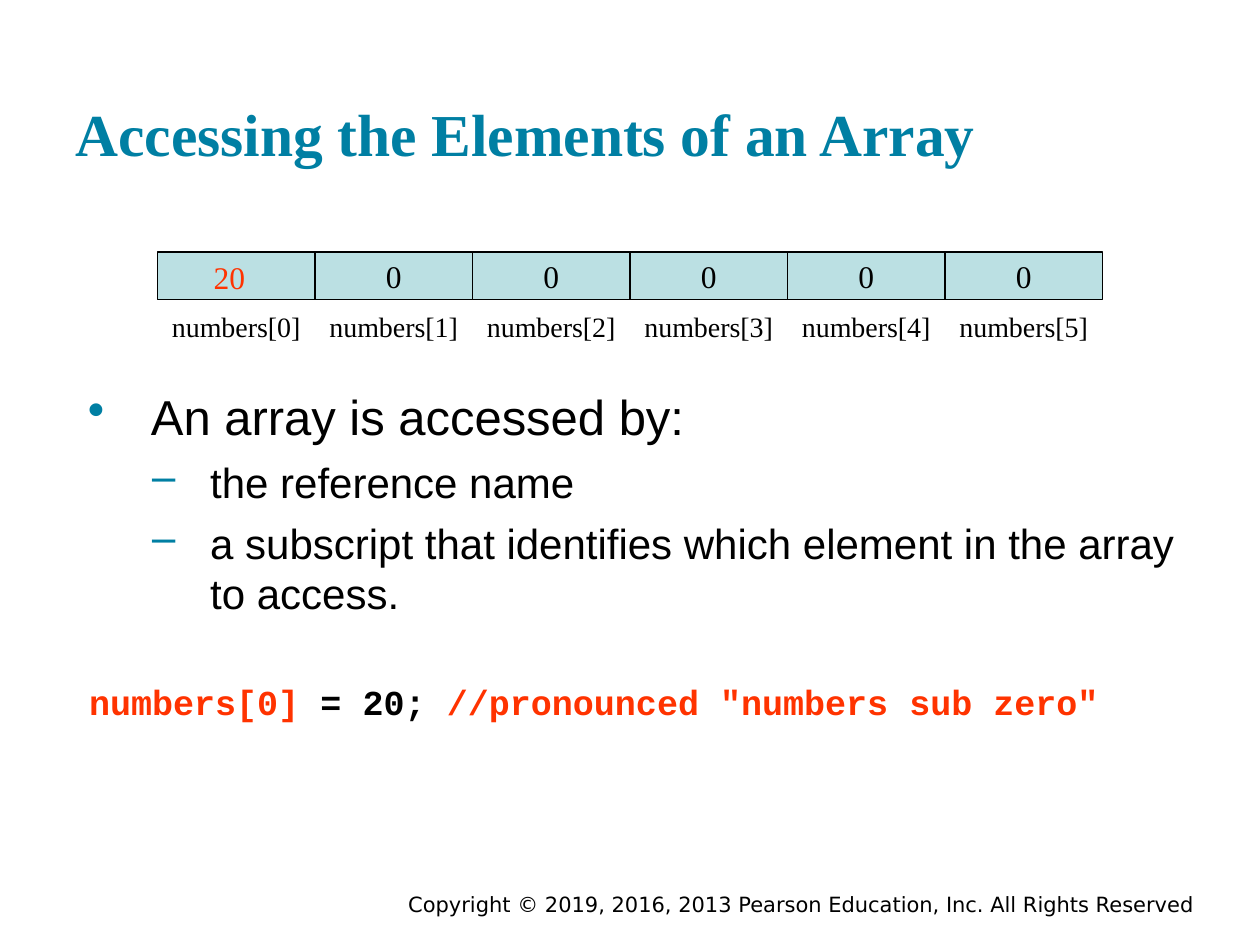
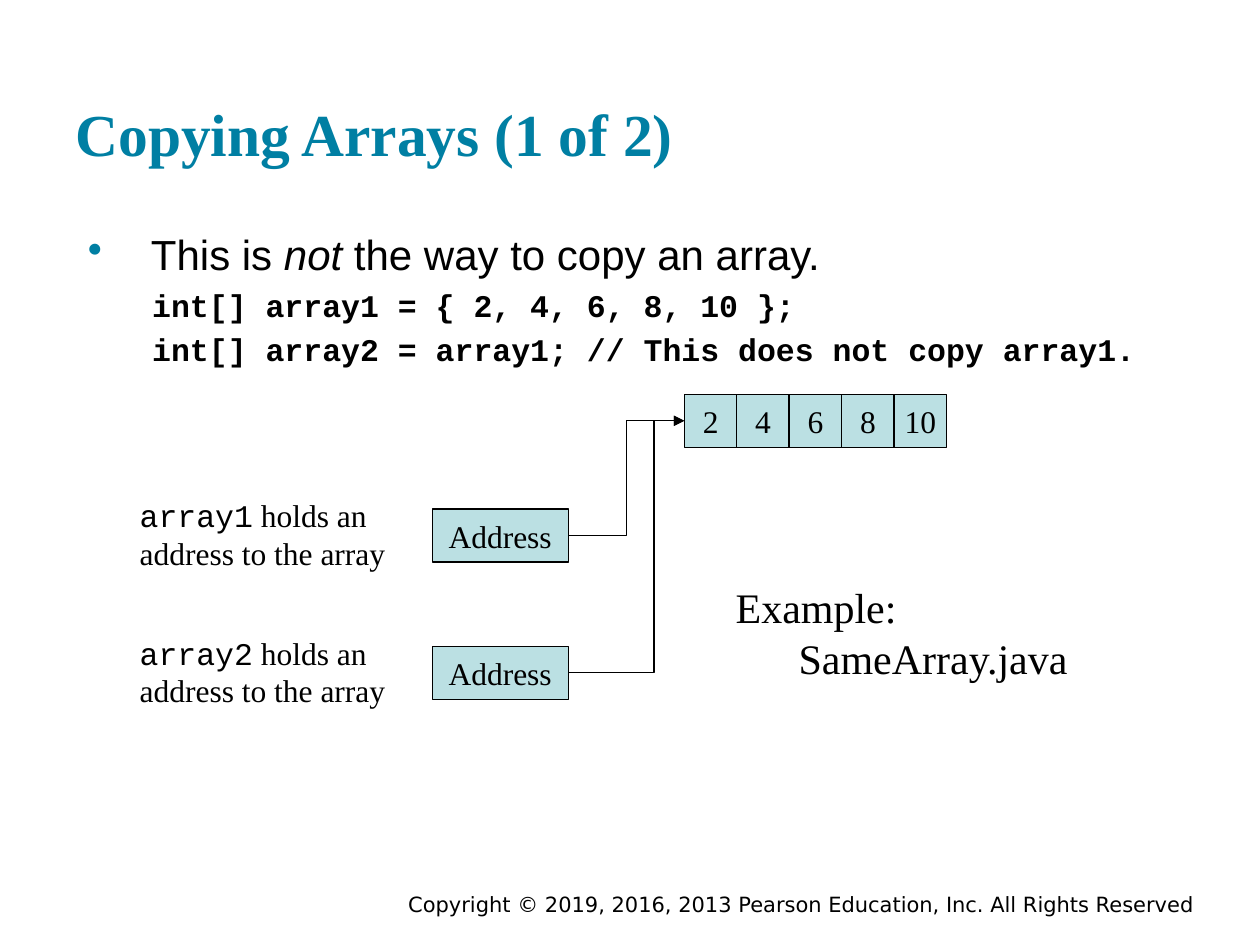
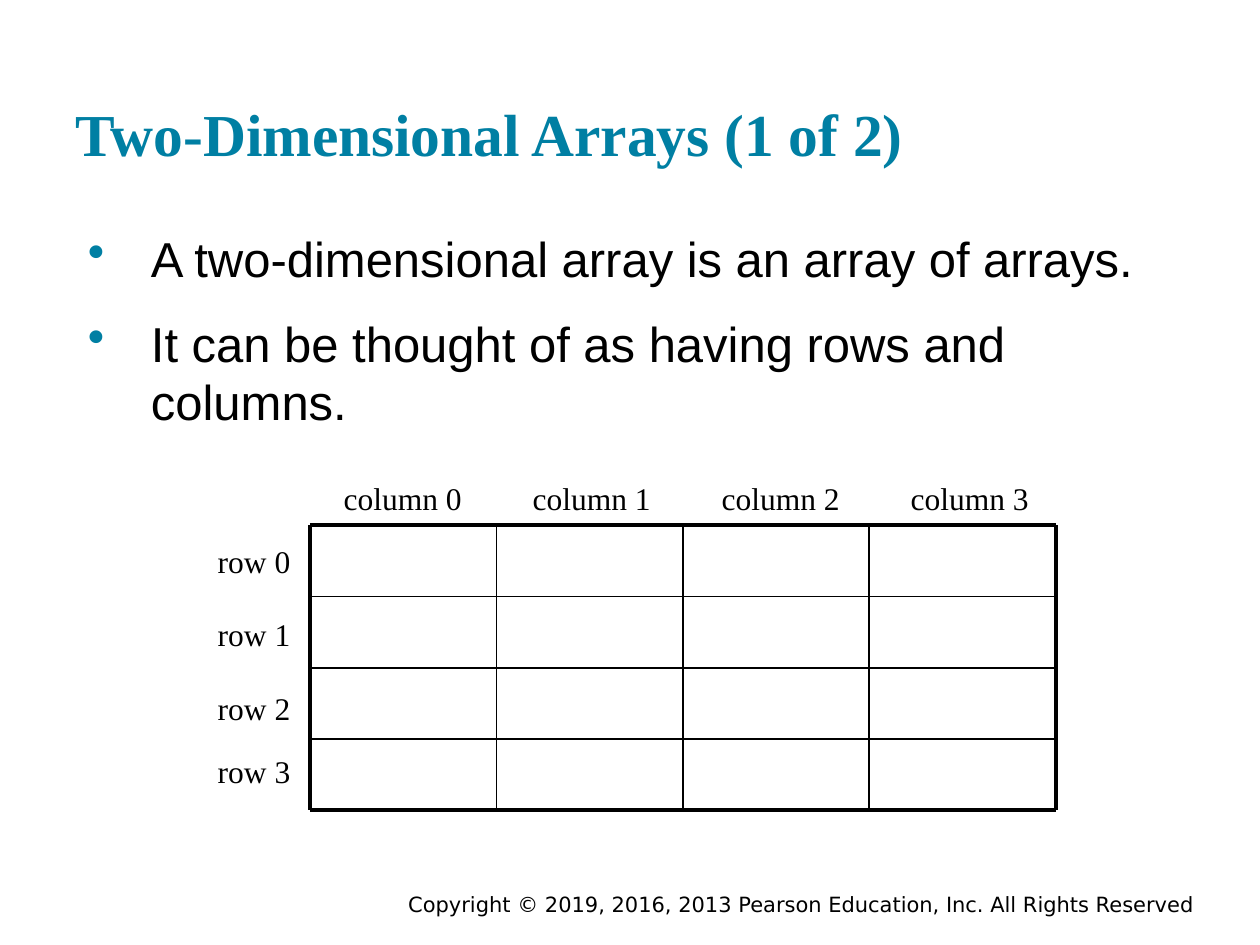
from lxml.etree import SubElement
from pptx import Presentation
from pptx.dml.color import RGBColor
from pptx.enum.shapes import MSO_CONNECTOR, MSO_SHAPE
from pptx.enum.text import MSO_ANCHOR, MSO_AUTO_SIZE, PP_ALIGN
from pptx.oxml.ns import qn
from pptx.util import Inches, Pt

COLORS = {"ink": "000000", "teal": "007FA3", "cell": "BBE0E3", "red": "FF3300"}
SERIF, SANS, MONO, PLAIN = "Times New Roman", "Arial", "Courier New", "DejaVu Sans"
FOOTER = "Copyright © 2019, 2016, 2013 Pearson Education, Inc. All Rights Reserved"

# Paragraph kinds: left margin, first-line indent, space before, bullet, level
KINDS = {
    "plain": (0, 0, 0, None, 0),
    "point": (0.6, -0.5, 15, "•", 0),
    "dash": (1.07, -0.46, 6, "–", 1),
    "code": (0.81, -0.2, 6, None, 1),
    "hang": (0.5, -0.5, 0, None, 0),
}

# A paragraph is (kind, runs); a run is (text, changes to the box's font)
ACCESS = {
    "title": "Accessing the Elements of an Array",
    "body": [
        ("point", [("An array is accessed by:", {"size": 28})]),
        ("dash", [("the reference name", {})]),
        ("dash", [("a subscript that identifies which element in the array to access.", {})]),
    ],
    "code": [("plain", [
        ("numbers[0]", {"color": "red"}),
        (" = 20; ", {}),
        ('//pronounced "numbers sub zero"', {"color": "red"}),
    ])],
    "cells": ["", "0", "0", "0", "0", "0"],
    "first": "20",
}
MONO_BOLD = {"size": 18, "font": MONO, "bold": True}
COPY = {
    "title": "Copying Arrays (1 of 2)",
    "body": [
        ("point", [("This is ", {}), ("not", {"italic": True}),
                   (" the way to copy an array.", {})]),
        ("code", [("int[] array1 = { 2, 4, 6, 8, 10 };", MONO_BOLD)]),
        ("code", [("int[] array2 = array1; // This does not copy array1.", MONO_BOLD)]),
    ],
    "cells": ["2", "4", "6", "8", "10"],
    "refs": [("array1", 4.04, 0.5), ("array2", 5.13, 0.74)],  # name, top, bend
    "example": "Example:\nSameArray.java",
}
GRID = {
    "title": "Two-Dimensional Arrays (1 of 2)",
    "body": [
        ("point", [("A two-dimensional array is an array of arrays.", {})]),
        ("point", [("It can be thought of as having rows and columns.", {})]),
    ],
    "size": 4,
    "rows": [4.25, 4.83, 5.42, 5.92],
}


def rgb(name):
    return RGBColor.from_string(COLORS[name])


def style(font, font_name, size, color="ink", bold=False, italic=False):
    font.name, font.size = font_name, Pt(size)
    font.bold, font.italic = bold, italic
    font.color.rgb = rgb(color)


def shape_para(para, kind, spacing):
    """Set indents, bullet and spacing of one paragraph."""
    left, first, before, mark, level = KINDS[kind]
    props = para._p.get_or_add_pPr()
    props.set("marL", str(Inches(left)))
    props.set("indent", str(Inches(first)))
    if mark:
        tint = SubElement(props, qn("a:buClr"))
        SubElement(tint, qn("a:srgbClr"), val=COLORS["teal"])
        SubElement(props, qn("a:buChar"), char=mark)
    else:
        SubElement(props, qn("a:buNone"))
    para.level = level
    para.space_before = Pt(before)
    if spacing:
        para.line_spacing = spacing


def write(frame, paras, align=PP_ALIGN.LEFT, spacing=None, **base):
    base = {"font": SERIF, "size": 18, **base}
    for i, (kind, runs) in enumerate(paras):
        para = frame.add_paragraph() if i else frame.paragraphs[0]
        shape_para(para, kind, spacing)
        if not i:
            para.space_before = Pt(0)
        para.alignment = align
        first = {**base, **runs[0][1]}
        para.font.name, para.font.size = first["font"], Pt(first["size"])
        for text, changes in runs:
            look = {**base, **changes}
            face = look.pop("font")
            for j, line in enumerate(text.split("\n")):
                if j:
                    para.add_line_break()
                run = para.add_run()
                run.text = line
                style(run.font, face, **look)


def plain(text):
    return [("plain", [(text, {})])]


def add_text(slide, box, paras, wrap=False, pad=0.05, **look):
    frame = slide.shapes.add_textbox(*map(Inches, box)).text_frame
    frame.word_wrap = wrap
    if not wrap:
        frame.auto_size = MSO_AUTO_SIZE.SHAPE_TO_FIT_TEXT
    frame.margin_top = frame.margin_bottom = Inches(pad)
    write(frame, paras, **look)


def add_body(slide, top, height, paras, **look):
    add_text(slide, (0.5, top, 9, height), paras, wrap=True, pad=0.1, font=SANS, **look)


def add_cell(slide, box, text):
    cell = slide.shapes.add_shape(MSO_SHAPE.RECTANGLE, *map(Inches, box))
    cell.shadow.inherit = False
    cell.fill.solid()
    cell.fill.fore_color.rgb = rgb("cell")
    cell.line.color.rgb = rgb("ink")
    cell.line.width = Pt(0.75)
    if text:
        frame = cell.text_frame
        frame.word_wrap = False
        frame.vertical_anchor = MSO_ANCHOR.MIDDLE
        write(frame, plain(text), align=PP_ALIGN.CENTER)
    return cell


def add_line(slide, ends, width, kind=MSO_CONNECTOR.STRAIGHT):
    line = slide.shapes.add_connector(kind, *map(Inches, ends))
    line.line.color.rgb = rgb("ink")
    line.line.width = Pt(width)
    SubElement(line._element.spPr, qn("a:effectLst"))
    return line


def add_link(slide, start, end, bend):
    """Draw a bent arrow from the right of start to the left of end."""
    link = add_line(slide, (0, 0, 1, 1), 0.75, MSO_CONNECTOR.ELBOW)
    link.begin_connect(start, 3)
    link.end_connect(end, 1)
    props = link._element.spPr
    SubElement(props.find(qn("a:ln")), qn("a:tailEnd"), type="triangle")
    geom = props.find(qn("a:prstGeom"))
    guides = geom.find(qn("a:avLst"))
    if guides is None:
        guides = SubElement(geom, qn("a:avLst"))
    SubElement(guides, qn("a:gd"), name="adj1", fmla=f"val {round(bend * 100000)}")


def add_slide(deck, title):
    slide = deck.slides.add_slide(deck.slide_layouts[5])
    head = slide.shapes.title
    head.left, head.top, head.width, head.height = map(Inches, (0.5, 0.24, 9, 1.2))
    frame = head.text_frame
    frame.auto_size = MSO_AUTO_SIZE.NONE
    frame.vertical_anchor = MSO_ANCHOR.BOTTOM
    frame.margin_top = frame.margin_bottom = Inches(0.1)
    write(frame, plain(title), size=34, color="teal", bold=True)
    add_text(slide, (1.75, 7.03, 7.83, 0.22), plain(FOOTER), wrap=True,
             align=PP_ALIGN.RIGHT, font=PLAIN, size=12)
    return slide


def access_slide(deck):
    slide = add_slide(deck, ACCESS["title"])
    add_body(slide, 2.97, 2.2, ACCESS["body"], size=24)
    add_text(slide, (0.59, 5.35, 8.25, 0.44), ACCESS["code"],
             align=PP_ALIGN.CENTER, font=MONO, size=20, bold=True)
    step = 1.25
    for i, value in enumerate(ACCESS["cells"]):
        left = 1.25 + i * step
        add_cell(slide, (left, 2, step, 0.38), value)
        add_text(slide, (left, 2.41, step, 0.37), plain(f"numbers[{i}]"),
                 wrap=True, align=PP_ALIGN.CENTER, size=16)
    add_text(slide, (1.58, 2, 0.48, 0.4), plain(ACCESS["first"]),
             wrap=True, align=PP_ALIGN.CENTER, color="red")


def copy_slide(deck):
    slide = add_slide(deck, COPY["title"])
    add_body(slide, 1.76, 1.3, COPY["body"], size=24, spacing=0.9)
    side = 0.42
    cells = [add_cell(slide, (5.43 + i * 0.416, 3.13, side, side), value)
             for i, value in enumerate(COPY["cells"])]
    for name, top, bend in COPY["refs"]:
        ref = add_cell(slide, (3.43, top, 1.08, side), "Address")
        note = [("plain", [(name, {"font": MONO}), (" holds an", {})])]
        add_text(slide, (1.01, top - 0.15, 2.15, 0.7), note + plain("address to the array"))
        add_link(slide, ref, cells[0], bend)
    add_text(slide, (5.74, 4.57, 2.85, 0.9), [("hang", [(COPY["example"], {})])], size=24)


def grid_slide(deck):
    slide = add_slide(deck, GRID["title"])
    add_body(slide, 1.71, 1.9, GRID["body"], size=28)
    size, left, top, wide, high = GRID["size"], 2.46, 4.17, 1.48, 0.565
    right, bottom = left + size * wide, top + size * high
    for i in range(size + 1):
        width = 2.25 if i in (0, size) else 1
        x, y = left + i * wide, top + i * high
        add_line(slide, (left, y, right, y), width)
        add_line(slide, (x, top, x, bottom), width)
    for i, y in enumerate(GRID["rows"]):
        add_text(slide, (1.63, y, 0.8, 0.4), plain(f"row {i}"))
        add_text(slide, (2.63 + i * 1.5, 3.75, 1.14, 0.4), plain(f"column {i}"))


def main():
    deck = Presentation()
    deck.slide_width, deck.slide_height = Inches(10), Inches(7.5)
    access_slide(deck)
    copy_slide(deck)
    grid_slide(deck)
    deck.save("out.pptx")


if __name__ == "__main__":
    main()
